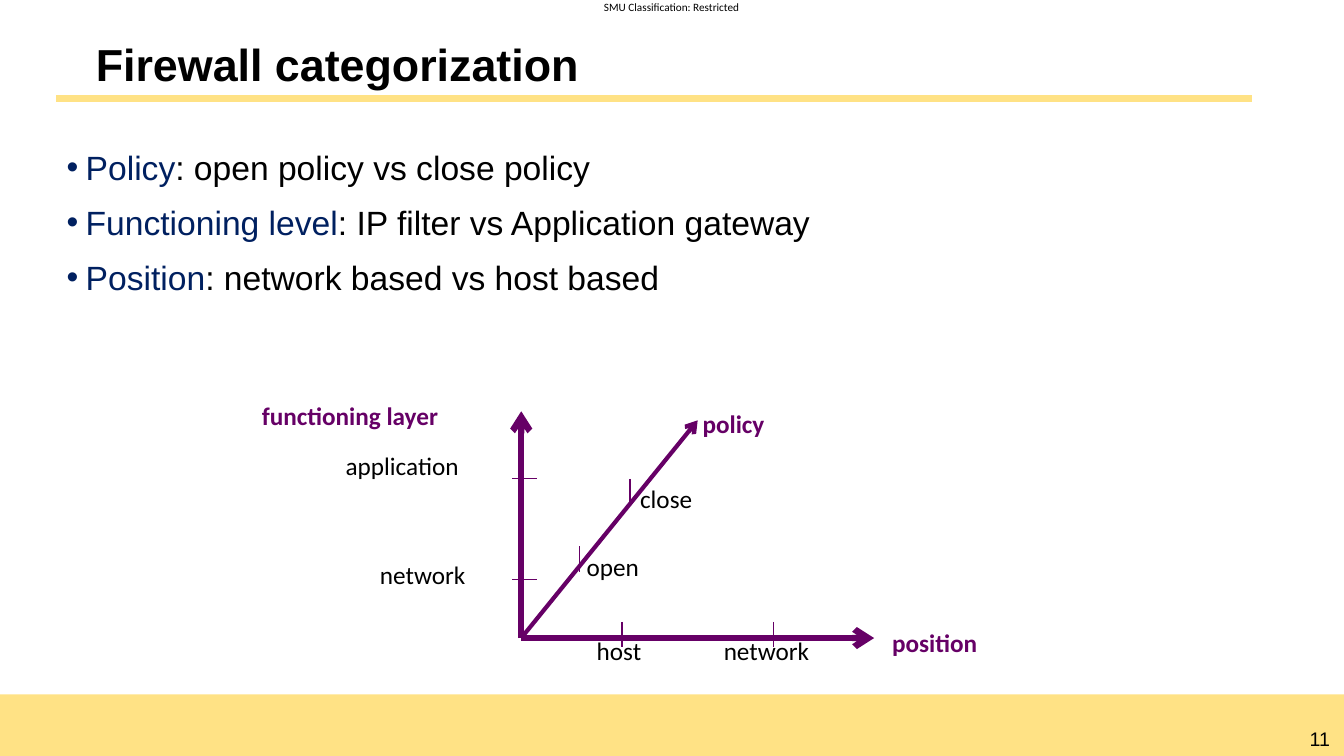
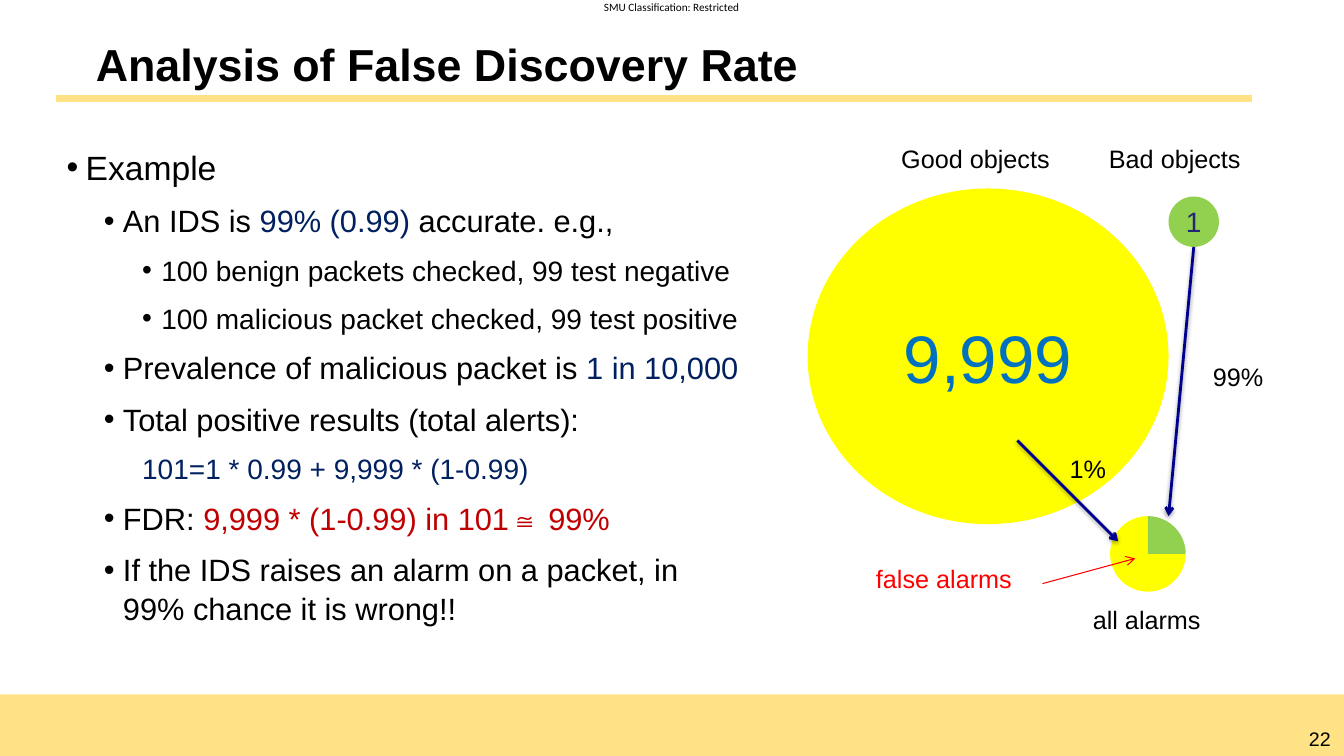
import dataclasses

import lxml.etree
import pptx
import pptx.dml.color
import pptx.enum.shapes
import pptx.enum.text
import pptx.oxml.ns
import pptx.util

EMU_PER_PX = 9144  # 100 px to the inch
SHAPES = pptx.enum.shapes.MSO_SHAPE
ALIGN = pptx.enum.text.PP_ALIGN
ANCHOR = pptx.enum.text.MSO_ANCHOR
AUTO_SIZE = pptx.enum.text.MSO_AUTO_SIZE


@dataclasses.dataclass(frozen=True)
class Theme:
    sans: str = "Arial"
    label_font: str = "Calibri"
    black: str = "000000"
    band: str = "FFE285"
    navy: str = "002060"
    crimson: str = "C00000"
    red: str = "FF0000"
    purple: str = "660066"
    yellow: str = "FFFF00"
    green: str = "92D050"
    blue: str = "0070C0"
    indigo: str = "262673"
    arrow: str = "000090"
    title_size: int = 32
    level_sizes: tuple = (24, 22, 20)
    label_size: int = 18
    number_size: int = 14
    header_size: int = 8
    big_size: int = 48
    level_indents: tuple = (19, 56, 94)
    hang: int = 19
    formula_indent: int = 75


THEME = Theme()


def px(length):
    return pptx.util.Emu(length * EMU_PER_PX)


def rgb(code):
    return pptx.dml.color.RGBColor.from_string(code)


def add_node(parent, tag, **attributes):
    node = lxml.etree.SubElement(parent, pptx.oxml.ns.qn(tag))
    for name, value in attributes.items():
        node.set(name, str(value))
    return node


class Deck:
    def __init__(self, theme, width, height):
        self.theme = theme
        self.width = width
        self.deck = pptx.Presentation()
        self.deck.slide_width, self.deck.slide_height = px(width), px(height)
        self.page = None

    def new_page(self, title, number, body_width):
        """Start a slide with band, header, number, title and rule; return its body frame."""
        theme = self.theme
        self.page = self.deck.slides.add_slide(self.deck.slide_layouts[1])
        self.shape(SHAPES.RECTANGLE, (0, 689, self.width, 64), theme.band)
        self.label(number, (1285, 716, 48, 34), size=theme.number_size,
                   align=ALIGN.CENTER, wrap=True)
        self.label("SMU Classification: Restricted", (599, 0, 137, 13), theme.label_font,
                   size=theme.header_size, inset=0, wrap=True)
        self.line((56, 98), (1242, 98), theme.band, 4.75)
        frame = self.place(self.page.shapes.title, (56, 34, 1186, 64))
        frame.vertical_anchor = ANCHOR.MIDDLE
        frame.margin_left = frame.margin_right = px(39)
        para = frame.paragraphs[0]
        para.alignment = ALIGN.LEFT
        para.line_spacing = 0.9
        self.span(para, title, theme.sans, theme.title_size, theme.black, bold=True)
        return self.place(self.page.placeholders[1], (56, 139, body_width, 517))

    def place(self, holder, at):
        holder.left, holder.top, holder.width, holder.height = map(px, at)
        holder.text_frame.auto_size = AUTO_SIZE.NONE
        holder.text_frame.word_wrap = True
        return holder.text_frame

    def span(self, para, text, font, size, color, bold=False):
        run = para.add_run()
        run.text = text
        run.font.name = font
        run.font.size = pptx.util.Pt(size)
        run.font.bold = bold
        run.font.color.rgb = rgb(color)

    def bullets(self, frame, items):
        """Fill a body with (level, spans, bulleted) items; a span is (text, color)."""
        theme = self.theme
        for index, (level, spans, bulleted) in enumerate(items):
            para = frame.add_paragraph() if index else frame.paragraphs[0]
            para.level = level
            props = para._p.get_or_add_pPr()
            indent = theme.level_indents[level] if bulleted else theme.formula_indent
            props.set("marL", str(px(indent)))
            props.set("indent", str(px(-theme.hang if bulleted else 0)))
            if bulleted:
                add_node(props, "a:buFont", typeface=theme.sans)
                add_node(props, "a:buChar", char="•")
            else:
                add_node(props, "a:buNone")
            para.alignment = ALIGN.LEFT
            para.line_spacing = 1.05
            para.space_before = pptx.util.Pt(4.5 if index else 0)
            para.space_after = pptx.util.Pt(4.5)
            for text, color in spans:
                self.span(para, text, theme.sans, theme.level_sizes[level], color)

    def label(self, text, at, font=None, color=None, size=None, bold=False,
              align=ALIGN.LEFT, wrap=False, inset=None):
        theme = self.theme
        box = self.page.shapes.add_textbox(*map(px, at))
        frame = box.text_frame
        frame.word_wrap = wrap
        frame.auto_size = AUTO_SIZE.SHAPE_TO_FIT_TEXT
        if inset is not None:
            frame.margin_left = frame.margin_right = px(inset)
            frame.margin_top = frame.margin_bottom = px(inset)
        para = frame.paragraphs[0]
        para.alignment = align
        self.span(para, text, font or theme.sans, size or theme.label_size,
                  color or theme.black, bold)

    def shape(self, kind, at, fill):
        shape = self.page.shapes.add_shape(kind, *map(px, at))
        shape.shadow.inherit = False
        shape.fill.solid()
        shape.fill.fore_color.rgb = rgb(fill)
        shape.line.fill.background()
        return shape

    def disc(self, text, at, fill, color, size):
        frame = self.shape(SHAPES.OVAL, at, fill).text_frame
        frame.vertical_anchor = ANCHOR.MIDDLE
        para = frame.paragraphs[0]
        para.alignment = ALIGN.CENTER
        self.span(para, text, self.theme.sans, size, color)

    def line(self, start, end, color, weight, arrow=False, shadow=False):
        connector = self.page.shapes.add_connector(
            pptx.enum.shapes.MSO_CONNECTOR.STRAIGHT, *map(px, start + end))
        connector.line.color.rgb = rgb(color)
        connector.line.width = pptx.util.Pt(weight)
        props = connector.element.spPr
        if arrow:
            add_node(props.find(pptx.oxml.ns.qn("a:ln")), "a:tailEnd", type="arrow")
        effects = add_node(props, "a:effectLst")
        if shadow:
            outer = add_node(effects, "a:outerShdw", blurRad=40000, dist=20000,
                             dir=5400000, rotWithShape=0)
            tint = add_node(outer, "a:srgbClr", val=self.theme.black)
            add_node(tint, "a:alpha", val=38000)


def add_categorization(deck):
    theme = deck.theme
    body = deck.new_page("Firewall categorization", "11", 1186)
    topics = (("Policy", ": open policy vs close policy"),
              ("Functioning level", ": IP filter vs Application gateway"),
              ("Position", ": network based vs host based"))
    deck.bullets(body, [(0, [(term, theme.navy), (rest, theme.black)], True)
                        for term, rest in topics])

    origin = (517, 633)
    axes = (("position", (867, 633), 4.5, (875, 617, 118, 40), False),
            ("functioning layer", (517, 408), 4.5, (250, 392, 267, 40), True),
            ("policy", (692, 417), 3, (687, 400, 93, 40), False))
    for name, tip, weight, at, wrap in axes:
        deck.line(origin, tip, theme.purple, weight, arrow=True)
        deck.label(name, at, theme.label_font, theme.purple, bold=True, wrap=wrap)

    across, down = (25, 0), (0, 25)
    ticks = (("host", (617, 617), down, (582, 625, 68, 40)),
             ("network", (767, 617), down, (708, 625, 109, 40)),
             ("open", (575, 542), down, (572, 542, 76, 40)),
             ("close", (625, 475), down, (625, 475, 79, 40)),
             ("network", (508, 575), across, (367, 550, 109, 40)),
             ("application", (508, 475), across, (333, 442, 141, 40)))
    for name, (x, y), (dx, dy), at in ticks:
        deck.line((x, y), (x + dx, y + dy), theme.purple, 1)
        deck.label(name, at, theme.label_font)


def add_discovery_rate(deck):
    theme = deck.theme
    black, navy = theme.black, theme.navy
    body = deck.new_page("Analysis of False Discovery Rate", "22", 689)
    deck.bullets(body, [
        (0, [("Example", black)], True),
        (1, [("An IDS is ", black), ("99% (0.99)", navy), (" accurate. e.g.,", black)], True),
        (2, [("100 benign packets checked, 99 test negative", black)], True),
        (2, [("100 malicious packet checked, 99 test positive", black)], True),
        (1, [("Prevalence of malicious packet is ", black), ("1 in 10,000", navy)], True),
        (1, [("Total positive results (total alerts):", black)], True),
        (2, [("101=1 * 0.99 + 9,999 * (1-0.99)", navy)], False),
        (1, [("FDR: ", black), ("9,999 * (1-0.99) in 101≅ 99%", theme.crimson)], True),
        (1, [("If the IDS raises an alarm on a packet, in 99% chance it is wrong!!", black)],
         True),
    ])

    alarms = (1101, 512, 75, 75)
    deck.shape(SHAPES.PIE, alarms, theme.yellow)
    true_alarms = deck.shape(SHAPES.PIE, alarms, theme.green)
    true_alarms.adjustments[0], true_alarms.adjustments[1] = 108, 162
    true_alarms.rotation = 90
    deck.line((1034, 579), (1126, 554), theme.red, 0.75, arrow=True)
    deck.disc("9,999", (801, 187, 358, 333), theme.yellow, theme.blue, theme.big_size)
    deck.disc("1", (1159, 195, 50, 50), theme.green, theme.indigo, theme.level_sizes[2])
    for start, end in (((1009, 437), (1109, 537)), ((1184, 245), (1159, 512))):
        deck.line(start, end, theme.arrow, 2, arrow=True, shadow=True)
    for text, at, color in (("Good objects", (884, 137, 169, 40), black),
                            ("Bad objects", (1090, 137, 152, 40), black),
                            ("1%", (1051, 445, 57, 40), black),
                            ("99%", (1193, 354, 71, 40), black),
                            ("all alarms", (1074, 595, 128, 40), black),
                            ("false alarms", (859, 554, 156, 40), theme.red)):
        deck.label(text, at, color=color)


def main():
    deck = Deck(THEME, 1333, 750)
    add_categorization(deck)
    add_discovery_rate(deck)
    deck.deck.save("out.pptx")


if __name__ == "__main__":
    main()
